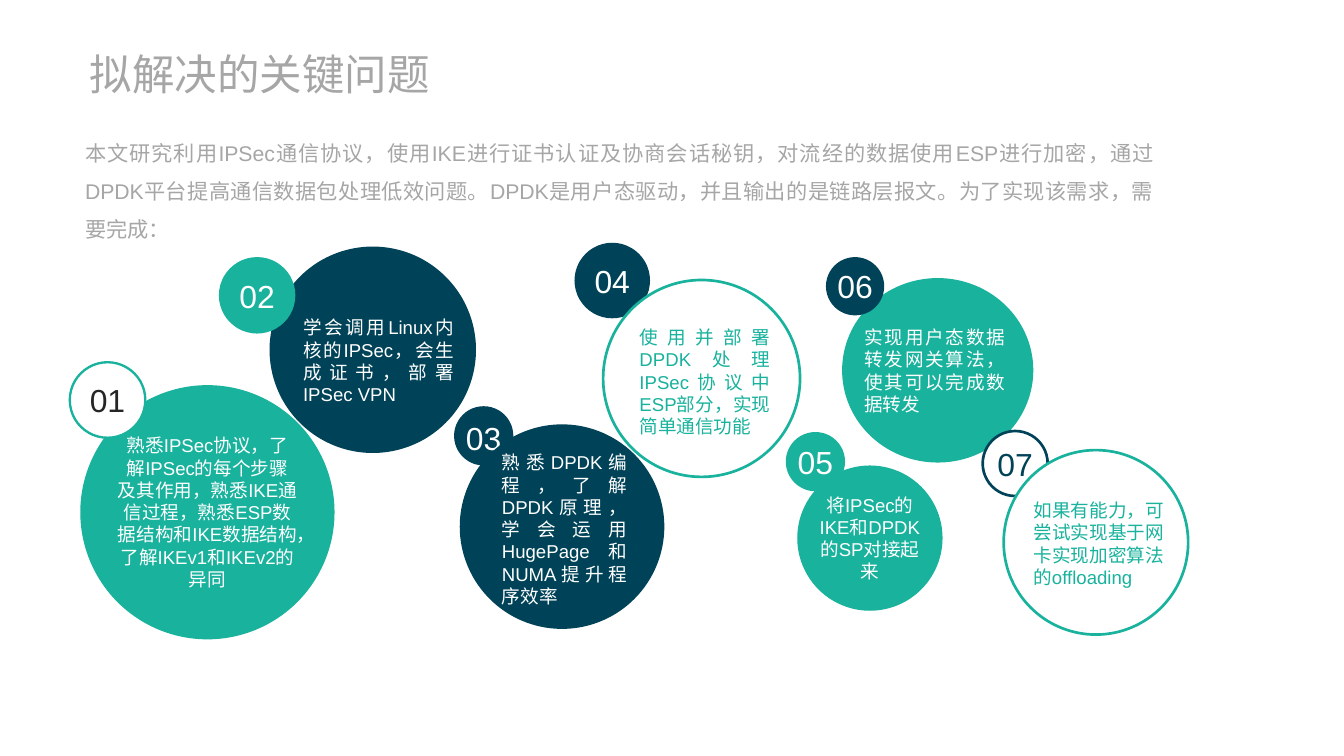
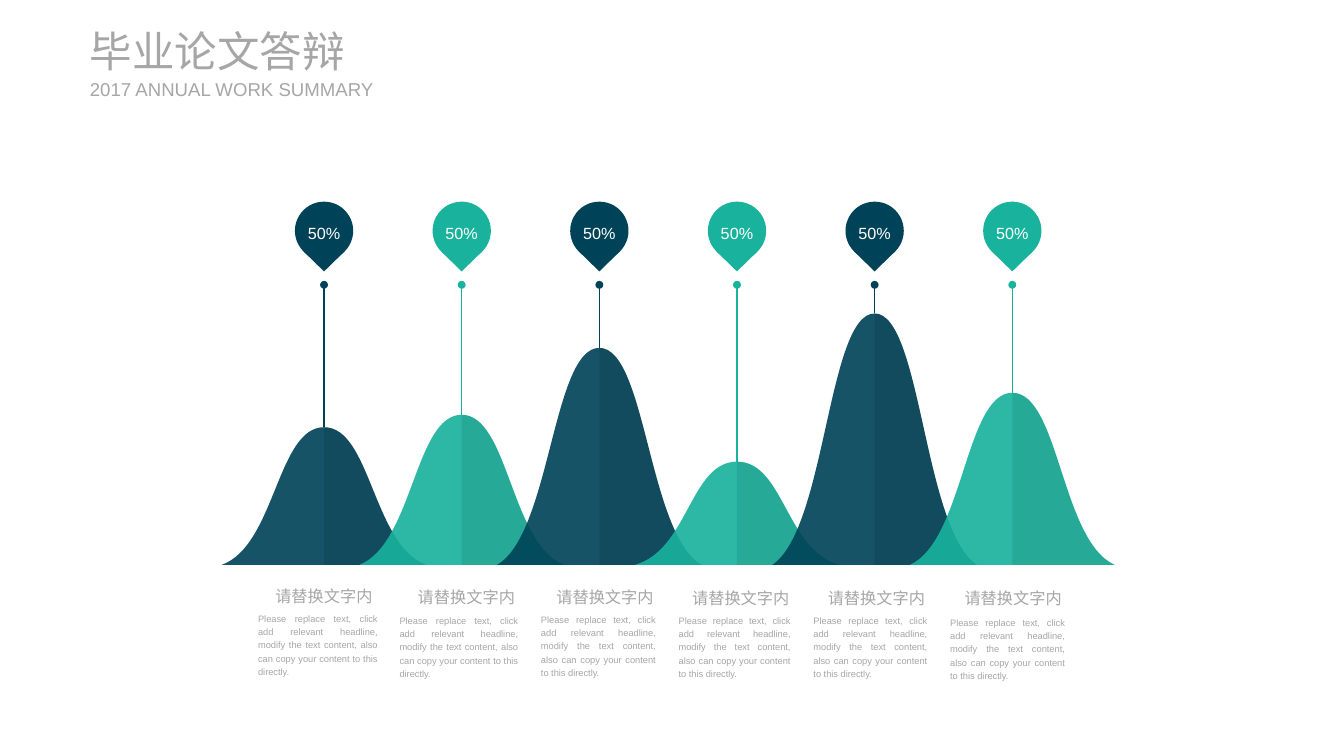
"""Builds two thesis-defence slides: key problems and a hill chart with pins."""
from dataclasses import dataclass
from typing import Optional

from lxml import etree
from pptx import Presentation
from pptx.dml.color import RGBColor
from pptx.enum.shapes import MSO_CONNECTOR, MSO_SHAPE
from pptx.enum.text import MSO_ANCHOR, MSO_AUTO_SIZE, PP_ALIGN
from pptx.oxml.ns import qn
from pptx.util import Inches, Pt

OVAL, TRIANGLE = MSO_SHAPE.OVAL, MSO_SHAPE.FLOWCHART_MERGE
STRAIGHT = MSO_CONNECTOR.STRAIGHT
LEFT, CENTER, JUSTIFY = PP_ALIGN.LEFT, PP_ALIGN.CENTER, PP_ALIGN.JUSTIFY
TOP, MIDDLE = MSO_ANCHOR.TOP, MSO_ANCHOR.MIDDLE
FIXED, GROW = MSO_AUTO_SIZE.NONE, MSO_AUTO_SIZE.SHAPE_TO_FIT_TEXT


@dataclass(frozen=True)
class Theme:
    """Colours, font and type sizes shared by the slides."""
    font: str = "Arial"
    navy: str = "004358"
    teal: str = "18B29D"
    navy_shade: str = "00222C"
    teal_shade: str = "0C594F"
    white: str = "FFFFFF"
    ink: str = "262626"
    grey: str = "A6A6A6"
    title: float = 32
    number: float = 24
    intro: float = 16
    body: float = 14
    label: float = 12.2
    small: float = 7


T = Theme()


@dataclass(frozen=True)
class Box:
    """A rectangle in inches."""
    x: float
    y: float
    w: float
    h: float

    def emu(self) -> tuple:
        """Return left, top, width and height as lengths."""
        return Inches(self.x), Inches(self.y), Inches(self.w), Inches(self.h)


@dataclass(frozen=True)
class Style:
    """How a text is set."""
    size: float
    color: str = T.grey
    align: PP_ALIGN = JUSTIFY
    anchor: MSO_ANCHOR = TOP
    spacing: float = 1.0
    before: float = 0
    wrap: bool = True
    inset_top: float = 0
    fit: MSO_AUTO_SIZE = GROW


@dataclass(frozen=True)
class Disc:
    """A circle with its fill and optional outline."""
    box: Box
    fill: str
    line: Optional[str] = None
    width: float = 2


@dataclass(frozen=True)
class Problem:
    """A numbered bubble; without a text box its text is centred in the circle."""
    badge: Disc
    number_color: str
    bubble: Disc
    text: str
    text_color: str = T.white
    text_box: Optional[Box] = None
    badge_on_top: bool = False
    badge_inset: float = 0


@dataclass(frozen=True)
class Hill:
    """One hill with the place of its caption."""
    peak: float
    head_x: float
    head_y: float
    note_x: float
    note_y: float
    note_w: float


PROBLEMS = [
    Problem(Disc(Box(0.73, 3.79, 0.79, 0.79), T.white, T.teal, 1.75), T.ink,
            Disc(Box(0.84, 4.03, 2.66, 2.66), T.teal),
            "熟悉IPSec协议，了解IPSec的每个步骤及其作用，熟悉IKE通信过程，"
            "熟悉ESP数据结构和IKE数据结构，了解IKEv1和IKEv2的异同",
            badge_on_top=True),
    Problem(Disc(Box(2.29, 2.69, 0.8, 0.8), T.teal), T.white,
            Disc(Box(2.82, 2.58, 2.16, 2.16), T.navy),
            "学会调用Linux内核的IPSec，会生成证书，部署IPSec VPN",
            text_box=Box(3.17, 3.31, 1.58, 0.94), badge_on_top=True),
    Problem(Disc(Box(4.75, 4.25, 0.62, 0.62), T.navy), T.white,
            Disc(Box(4.81, 4.44, 2.14, 2.14), T.navy),
            "熟悉DPDK编程，了解DPDK原理，学会运用HugePage和NUMA提升程序效率",
            text_box=Box(5.25, 4.72, 1.31, 1.65), badge_inset=0.05),
    Problem(Disc(Box(6.01, 2.54, 0.79, 0.79), T.navy), T.white,
            Disc(Box(6.31, 2.93, 2.06, 2.06), T.white, T.teal),
            "使用并部署DPDK处理IPSec协议中ESP部分，实现简单通信功能",
            T.teal, Box(6.69, 3.41, 1.37, 1.18)),
    Problem(Disc(Box(8.22, 4.52, 0.62, 0.62), T.teal), T.white,
            Disc(Box(8.34, 4.87, 1.52, 1.52), T.teal),
            "将IPSec的IKE和DPDK的SP对接起来"),
    Problem(Disc(Box(8.64, 2.69, 0.61, 0.61), T.navy), T.white,
            Disc(Box(8.81, 2.91, 2, 1.93), T.teal),
            "实现用户态数据转发网关算法，使其可以完成数据转发",
            text_box=Box(9.04, 3.41, 1.48, 0.63), badge_on_top=True),
    Problem(Disc(Box(10.28, 4.51, 0.68, 0.68), T.white, T.navy), T.navy,
            Disc(Box(10.5, 4.71, 1.93, 1.93), T.white, T.teal),
            "如果有能力，可尝试实现基于网卡实现加密算法的offloading",
            T.teal, Box(10.81, 5.22, 1.37, 0.94)),
]

HILLS = [
    Hill(4.47, 2.88, 6.09, 2.70, 6.39, 1.25),
    Hill(4.34, 4.37, 6.10, 4.18, 6.41, 1.24),
    Hill(3.64, 5.82, 6.10, 5.66, 6.40, 1.20),
    Hill(4.83, 7.24, 6.11, 7.10, 6.41, 1.17),
    Hill(3.28, 8.66, 6.11, 8.51, 6.41, 1.19),
    Hill(4.11, 10.09, 6.12, 9.94, 6.43, 1.20),
]
FIRST_X, PITCH, BASE_Y = 3.39, 1.44, 5.91

INTRO = ("本文研究利用IPSec通信协议，使用IKE进行证书认证及协商会话秘钥，"
         "对流经的数据使用ESP进行加密，通过DPDK平台提高通信数据包处理低效问题。"
         "DPDK是用户态驱动，并且输出的是链路层报文。为了实现该需求，需要完成：")
HEADING = "请替换文字内"
NOTE = ("Please replace text, click add relevant headline, modify the text "
        "content, also can copy your content to this directly.")


def rgb(color: str) -> RGBColor:
    """Turn a hex string into a colour."""
    return RGBColor.from_string(color)


def set_text(sp, text: str, style: Style):
    """Write one paragraph into a shape and return it."""
    tf = sp.text_frame
    tf.text = text
    tf.word_wrap = style.wrap
    tf.auto_size = style.fit
    tf.vertical_anchor = style.anchor
    tf.margin_left = tf.margin_right = tf.margin_bottom = 0
    tf.margin_top = Inches(style.inset_top)
    p = tf.paragraphs[0]
    p.alignment = style.align
    p.line_spacing = style.spacing
    p.space_before = Pt(style.before)
    for r in p.runs:
        r.font.name = T.font
        r.font.size = Pt(style.size)
        r.font.color.rgb = rgb(style.color)
    return p


def add_text(s, box: Box, text: str, style: Style) -> None:
    """Add a text box."""
    set_text(s.shapes.add_textbox(*box.emu()), text, style)


def paint(sp, color: str, alpha: Optional[int] = None) -> None:
    """Fill a shape flat, optionally with an opacity in percent."""
    sp.shadow.inherit = False
    sp.fill.solid()
    sp.fill.fore_color.rgb = rgb(color)
    sp.line.fill.background()
    if alpha is not None:
        clr = sp._element.spPr.find(".//" + qn("a:srgbClr"))
        etree.SubElement(clr, qn("a:alpha")).set("val", str(alpha * 1000))


def add_disc(s, disc: Disc):
    """Add a circle and return it."""
    sp = s.shapes.add_shape(OVAL, *disc.box.emu())
    paint(sp, disc.fill)
    if disc.line:
        sp.line.color.rgb = rgb(disc.line)
        sp.line.width = Pt(disc.width)
    return sp


def add_slide(prs, title: str, title_box: Box, body: str, body_box: Box, body_style: Style):
    """Add a slide with its title and body placeholders filled."""
    s = prs.slides.add_slide(prs.slide_layouts[1])
    head, text = s.placeholders[0], s.placeholders[1]
    for sp, box in ((head, title_box), (text, body_box)):
        sp.left, sp.top, sp.width, sp.height = box.emu()
    set_text(head, title, Style(T.title, align=LEFT, anchor=MIDDLE))
    pPr = set_text(text, body, body_style)._p.get_or_add_pPr()
    pPr.set("marL", "0")
    pPr.set("indent", "0")
    etree.SubElement(pPr, qn("a:buNone"))
    return s


def add_badge(s, item: Problem, number: int) -> None:
    """Add the small numbered circle of a problem."""
    style = Style(T.number, item.number_color, CENTER, MIDDLE,
                  inset_top=item.badge_inset, fit=FIXED)
    set_text(add_disc(s, item.badge), f"{number:02d}", style)


def add_problem(s, item: Problem, number: int) -> None:
    """Add a bubble with its text and badge."""
    if not item.badge_on_top:
        add_badge(s, item, number)
    bubble = add_disc(s, item.bubble)
    if item.text_box:
        add_text(s, item.text_box, item.text, Style(T.body, item.text_color, before=7.5))
    else:
        set_text(bubble, item.text, Style(T.body, item.text_color, CENTER, MIDDLE, fit=FIXED))
    if item.badge_on_top:
        add_badge(s, item, number)


def slope(x: float, peak: float, side: int) -> list:
    """Return the four Bezier points of a slope from the peak to the base."""
    bend = BASE_Y - 0.14 * (BASE_Y - peak)
    points = [(0, peak), (0.49, peak), (0.51, bend), (1.07, BASE_Y)]
    return [(Inches(x + side * dx), Inches(y)) for dx, y in points]


def add_outline(s, points: list, color: str, alpha: int) -> None:
    """Add a closed freeform in which each three points after the first form a curve."""
    builder = s.shapes.build_freeform(*points[0], scale=1.0)
    builder.add_line_segments(points[1:], close=True)
    sp = builder.convert_to_shape()
    lines = list(sp._element.spPr.iter(qn("a:lnTo")))[:len(points) - 1]
    for i in range(0, len(lines) - 2, 3):
        curve = etree.Element(qn("a:cubicBezTo"))
        lines[i].addprevious(curve)
        for line in lines[i:i + 3]:
            curve.append(line[0])
            line.getparent().remove(line)
    paint(sp, color, alpha)


def add_hill(s, x: float, peak: float, color: str, shade: str) -> None:
    """Add a hill with its right half shaded."""
    right = slope(x, peak, 1)
    add_outline(s, slope(x, peak, -1)[::-1] + right[1:], color, 91)
    add_outline(s, right[::-1] + [(Inches(x), Inches(BASE_Y))], shade, 15)


def add_pin(s, x: float, peak: float, color: str) -> None:
    """Add the percentage pin and the stem that leads to a peak."""
    disc = add_disc(s, Disc(Box(x - 0.305, 2.11, 0.61, 0.61), color))
    set_text(disc, "50%", Style(T.label, T.white, CENTER, MIDDLE, 1.2, fit=FIXED))
    tip = s.shapes.add_shape(TRIANGLE, *Box(x - 0.215, 2.63, 0.43, 0.21).emu())
    paint(tip, color)
    stem = s.shapes.add_connector(STRAIGHT, Inches(x), Inches(2.98), Inches(x), Inches(peak))
    stem.line.color.rgb = rgb(color)
    stem.line.width = Pt(1)
    spPr = stem._element.spPr
    etree.SubElement(spPr.find(qn("a:ln")), qn("a:headEnd")).set("type", "oval")
    etree.SubElement(spPr, qn("a:effectLst"))


def main() -> None:
    """Build and save the presentation."""
    prs = Presentation()
    prs.slide_width, prs.slide_height = Inches(14.06), Inches(7.91)

    s = add_slide(prs, "拟解决的关键问题", Box(0.94, 0.5, 4.32, 0.54), INTRO,
                  Box(0.89, 1.33, 11.18, 1.16), Style(T.intro, spacing=1.5, before=7.5))
    for number, item in enumerate(PROBLEMS, 1):
        add_problem(s, item, number)

    s = add_slide(prs, "毕业论文答辩", Box(0.94, 0.26, 4.32, 0.54), "2017 ANNUAL WORK SUMMARY",
                  Box(0.94, 0.81, 3.07, 0.24), Style(T.body, align=LEFT, anchor=MIDDLE))
    tones = ((T.navy, T.navy_shade), (T.teal, T.teal_shade))
    for i, hill in enumerate(HILLS):
        x, (color, shade) = FIRST_X + i * PITCH, tones[i % 2]
        add_hill(s, x, hill.peak, color, shade)
        add_pin(s, x, hill.peak, color)
        add_text(s, Box(hill.head_x, hill.head_y, 1.02, 0.25), HEADING,
                 Style(T.label, spacing=1.2, wrap=False))
        add_text(s, Box(hill.note_x, hill.note_y, hill.note_w, 0.69), NOTE,
                 Style(T.small, spacing=1.2))
    prs.save("out.pptx")


if __name__ == "__main__":
    main()
